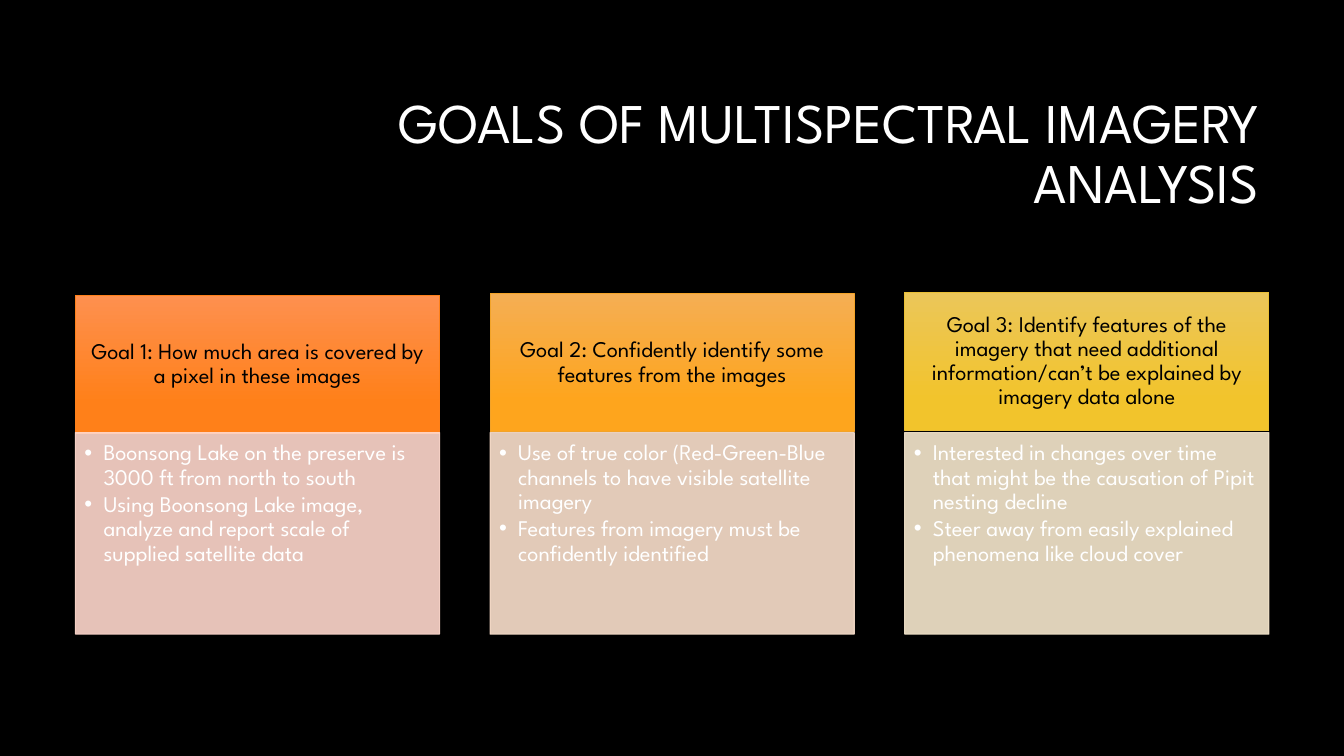
from dataclasses import dataclass

from lxml.etree import SubElement
from pptx import Presentation
from pptx.dml.color import RGBColor
from pptx.enum.shapes import MSO_SHAPE as Shape
from pptx.enum.text import MSO_ANCHOR as Anchor, MSO_AUTO_SIZE as AutoSize, PP_ALIGN as Align
from pptx.oxml.ns import qn
from pptx.util import Cm, Pt


@dataclass(frozen=True)
class Theme:
    font: str = "League Spartan"
    background: str = "000000"
    light_text: str = "FFFFFF"
    dark_text: str = "000000"
    title_size: int = 40
    text_size: int = 16
    line_spacing: float = 0.9
    border: float = 0.75
    panel_opacity: int = 90
    # per goal: gradient top, gradient bottom, header border, panel
    palettes: tuple = (
        ("FE904F", "FF8019", "FE801A", "FFD8CD"),
        ("F5AE53", "FEA51D", "F3A328", "FBE1CD"),
        ("EBC659", "F2C42C", "E9BF35", "F7E8CE"),
    )


def rgb(code):
    return RGBColor.from_string(code)


def set_opacity(shape, percent):
    """Apply one opacity to the fill and the outline of a shape."""
    for color in shape._element.spPr.iter(qn("a:srgbClr")):
        SubElement(color, qn("a:alpha")).set("val", str(percent * 1000))


class GoalSlide:
    def __init__(self, deck, theme):
        self.theme = theme
        self.slide = deck.slides.add_slide(deck.slide_layouts.get_by_name("Title Only"))
        background = self.slide.background.fill
        background.solid()
        background.fore_color.rgb = rgb(theme.background)

    def add_text(self, paragraph, text, size, color, align):
        paragraph.alignment = align
        paragraph.line_spacing = self.theme.line_spacing
        run = paragraph.add_run()
        run.text = text
        run.font.name = self.theme.font
        run.font.size = Pt(size)
        run.font.color.rgb = rgb(color)

    def title(self, text, left, top, width, height):
        title = self.slide.shapes.title
        title.left, title.top, title.width, title.height = map(Cm, (left, top, width, height))
        frame = title.text_frame
        frame.word_wrap = True
        frame.auto_size = AutoSize.NONE
        frame.vertical_anchor = Anchor.MIDDLE
        self.add_text(frame.paragraphs[0], text, self.theme.title_size,
                      self.theme.light_text, Align.RIGHT)

    def box(self, bounds, border, insets, anchor):
        box = self.slide.shapes.add_shape(Shape.RECTANGLE, *map(Cm, bounds))
        box.shadow.inherit = False
        box.line.color.rgb = rgb(border)
        box.line.width = Pt(self.theme.border)
        frame = box.text_frame
        frame.word_wrap = True
        frame.vertical_anchor = anchor
        (frame.margin_left, frame.margin_top,
         frame.margin_right, frame.margin_bottom) = map(Cm, insets)
        return box

    def header(self, text, bounds, gradient, border):
        header = self.box(bounds, border, (0.3, 0.18, 0.3, 0.18), Anchor.MIDDLE)
        header.fill.gradient()
        header.fill.gradient_angle = 270
        for stop, color, position in zip(header.fill.gradient_stops, gradient, (0, 0.78)):
            stop.color.rgb = rgb(color)
            stop.position = position
        self.add_text(header.text_frame.paragraphs[0], text, self.theme.text_size,
                      self.theme.dark_text, Align.CENTER)

    def bullet_panel(self, points, bounds, color):
        panel = self.box(bounds, color, (0.23, 0.23, 0.3, 0.35), Anchor.TOP)
        panel.fill.solid()
        panel.fill.fore_color.rgb = rgb(color)
        set_opacity(panel, self.theme.panel_opacity)
        frame = panel.text_frame
        for index, point in enumerate(points):
            paragraph = frame.add_paragraph() if index else frame.paragraphs[0]
            properties = paragraph._p.get_or_add_pPr()
            properties.set("marL", str(Cm(0.48)))
            properties.set("indent", str(-Cm(0.48)))
            SubElement(properties, qn("a:buFont")).set("typeface", "Arial")
            SubElement(properties, qn("a:buChar")).set("char", "•")
            paragraph.level = 1
            paragraph.space_after = Pt(2.4)
            self.add_text(paragraph, point, self.theme.text_size,
                          self.theme.light_text, Align.LEFT)


GOALS = (
    ("Goal 1: How much area is covered by a pixel in these images", 7.44, (
        "Boonsong Lake on the preserve is 3000 ft from north to south",
        "Using Boonsong Lake image, analyze and report scale of supplied satellite data",
    )),
    ("Goal 2: Confidently identify some features from the images", 7.4, (
        "Use of true color (Red-Green-Blue channels to have visible satellite imagery",
        "Features from imagery must be confidently identified",
    )),
    ("Goal 3: Identify features of the imagery that need additional "
     "information/can’t be explained by imagery data alone", 7.37, (
         "Interested in changes over time that might be the causation of Pipit nesting decline",
         "Steer away from easily explained phenomena like cloud cover",
     )),
)


def main():
    deck = Presentation()
    deck.slide_width, deck.slide_height = Cm(33.87), Cm(19.05)
    theme = Theme()
    slide = GoalSlide(deck, theme)
    slide.title("GOALS OF MULTISPECTRAL IMAGERY ANALYSIS", 8.05, 2.13, 23.93, 3.58)

    first_left, column_step, column_width = 1.9, 10.45, 9.18
    for column, ((goal, header_top, points), palette) in enumerate(zip(GOALS, theme.palettes)):
        left = first_left + column * column_step
        *gradient, border, panel_color = palette
        slide.header(goal, (left, header_top, column_width, 3.48), gradient, border)
        slide.bullet_panel(points, (left, 10.9, column_width, 5.08), panel_color)

    deck.save("out.pptx")


if __name__ == "__main__":
    main()
